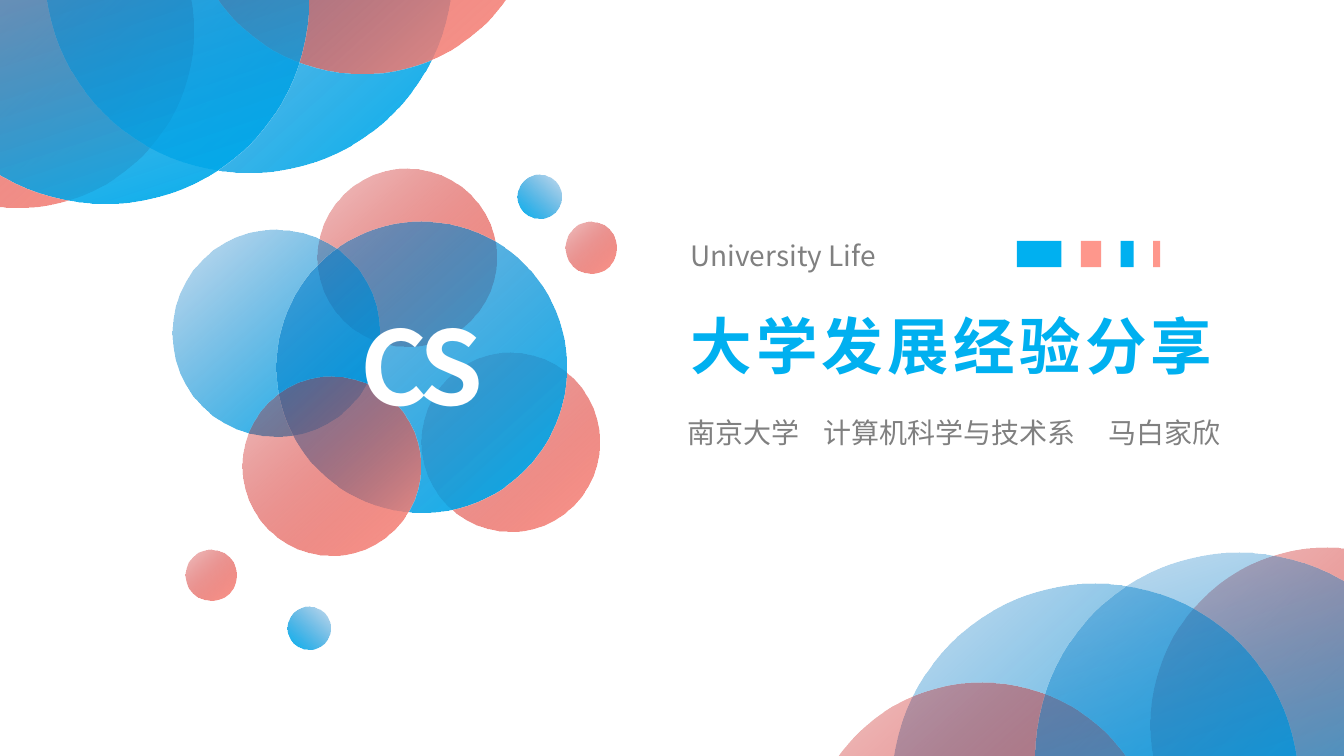
"""Build the opening slide of a talk on university life."""
from lxml import etree
from pptx import Presentation, util as u
from pptx.dml.color import RGBColor
from pptx.enum import shapes, text
from pptx.oxml import ns

WIDTH, HEIGHT = 33.87, 19.05
BLUE, CORAL, GREY, WHITE = "00B0F0", "FE978C", "808080", "FFFFFF"
GLOW = {BLUE: "0070C0", CORAL: "C00000"}
LARGE_CORAL, LARGE_BLUE = 8.9, 10.27
PETAL, SMALL_CORAL, SMALL_BLUE = 4.5, 1.29, 1.09


def color(value):
    return RGBColor.from_string(value)


def add_text(paragraph, content, font, size=20, fill=GREY, bold=False, spacing=0):
    """Add a formatted run, with letter spacing in points."""
    run = paragraph.add_run()
    run.text = content
    run.font.name, run.font.size, run.font.bold = font, u.Pt(size), bold
    run.font.color.rgb = color(fill)
    properties = run.font._element
    if spacing:
        properties.set("spc", str(spacing * 100))
    etree.SubElement(properties, ns.qn("a:ea")).set("typeface", font)


class Cover:
    """Hold the font and slide, and draw with lengths in centimetres."""

    def __init__(self, slide, font):
        self.slide = slide
        self.font = font

    def shape(self, kind, left, top, width, height):
        shape = self.slide.shapes.add_shape(
            kind, u.Cm(left), u.Cm(top), u.Cm(width), u.Cm(height))
        shape.shadow.inherit = False
        shape.line.fill.background()
        return shape

    def bubble(self, x, y, diameter, fill, angle=48, opacity=22):
        """Draw a circle by its centre, fading clockwise at the angle."""
        shape = self.shape(shapes.MSO_SHAPE.OVAL, x - diameter / 2,
                           y - diameter / 2, diameter, diameter)
        shape.fill.gradient()
        shape.fill.gradient_angle = 360 - angle
        start, end = shape.fill.gradient_stops
        start.color.rgb, end.color.rgb = color(GLOW[fill]), color(fill)
        faded = shape._element.spPr.xpath(".//a:gs/a:srgbClr")[0]
        etree.SubElement(faded, ns.qn("a:alpha")).set("val", str(opacity * 1000))

    def bar(self, left, top, width, height, fill):
        shape = self.shape(shapes.MSO_SHAPE.RECTANGLE, left, top, width, height)
        shape.fill.solid()
        shape.fill.fore_color.rgb = color(fill)

    def label(self, content, left, top, width, height, align=text.PP_ALIGN.LEFT,
              insets=(0.25, 0.13), tabs=(), **style):
        box = self.slide.shapes.add_textbox(
            u.Cm(left), u.Cm(top), u.Cm(width), u.Cm(height))
        frame = box.text_frame
        frame.word_wrap = True
        frame.auto_size = text.MSO_AUTO_SIZE.SHAPE_TO_FIT_TEXT
        frame.margin_left = frame.margin_right = u.Cm(insets[0])
        frame.margin_top = frame.margin_bottom = u.Cm(insets[1])
        paragraph = frame.paragraphs[0]
        paragraph.alignment = align
        if tabs:
            stops = etree.SubElement(
                paragraph._element.get_or_add_pPr(), ns.qn("a:tabLst"))
            for position in tabs:
                stop = etree.SubElement(stops, ns.qn("a:tab"))
                stop.set("pos", str(u.Cm(position)))
                stop.set("algn", "l")
        add_text(paragraph, content, self.font, **style)


def draw_corners(cover):
    """Draw the top-left bubbles and the same group turned to the bottom right."""
    corner = [(0.42, 0.79, LARGE_CORAL, CORAL, 48),
              (6.27, -0.79, LARGE_BLUE, BLUE, 48),
              (9.13, -2.59, LARGE_CORAL, CORAL, 48),
              (2.65, 0, LARGE_BLUE, BLUE, 72)]
    for bubble in corner:
        cover.bubble(*bubble)
    for x, y, *style in corner:
        cover.bubble(WIDTH - x, HEIGHT - y, *style)


def draw_emblem(cover):
    cover.bubble(10.26, 6.49, PETAL, CORAL)
    cover.bubble(12.87, 11.14, PETAL, CORAL)
    cover.bubble(6.95, 8.4, 5.22, BLUE)
    cover.bubble(10.62, 9.25, 7.32, BLUE, opacity=44)
    cover.bubble(8.35, 11.75, PETAL, CORAL)
    for x, y in [(13.6, 4.95), (7.79, 15.82)]:
        cover.bubble(x, y, SMALL_BLUE, BLUE, angle=132)
    for x, y in [(14.89, 6.24), (5.32, 14.49)]:
        cover.bubble(x, y, SMALL_CORAL, CORAL)
    cover.label("CS", 7.04, 7.52, 7.19, 3.51, align=text.PP_ALIGN.CENTER,
                size=73, fill=WHITE, bold=True, spacing=-3)


def draw_titles(cover):
    left = 17.15
    cover.label("University Life", left, 5.87, 8.99, 1.12)
    cover.label("大学发展经验分享", left, 7.62, 14.68, 2.13,
                size=44, fill=BLUE, bold=True, spacing=3)
    cover.label("南京大学\t计算机科学与技术系\t马白家欣", left, 10.36, 15.88, 1.04,
                align=text.PP_ALIGN.JUSTIFY, insets=(0.18, 0.1), tabs=(3.42, 10.6))
    bar_left, gap = 25.63, 0.49
    for width, fill in [(1.12, BLUE), (0.51, CORAL), (0.33, BLUE), (0.18, CORAL)]:
        cover.bar(bar_left, 6.07, width, 0.66, fill)
        bar_left += width + gap


def main():
    presentation = Presentation()
    presentation.slide_width = u.Cm(WIDTH)
    presentation.slide_height = u.Cm(HEIGHT)
    slide = presentation.slides.add_slide(presentation.slide_layouts[6])
    cover = Cover(slide, "Noto Sans CJK SC")
    draw_corners(cover)
    draw_emblem(cover)
    draw_titles(cover)
    presentation.save("out.pptx")


if __name__ == "__main__":
    main()
